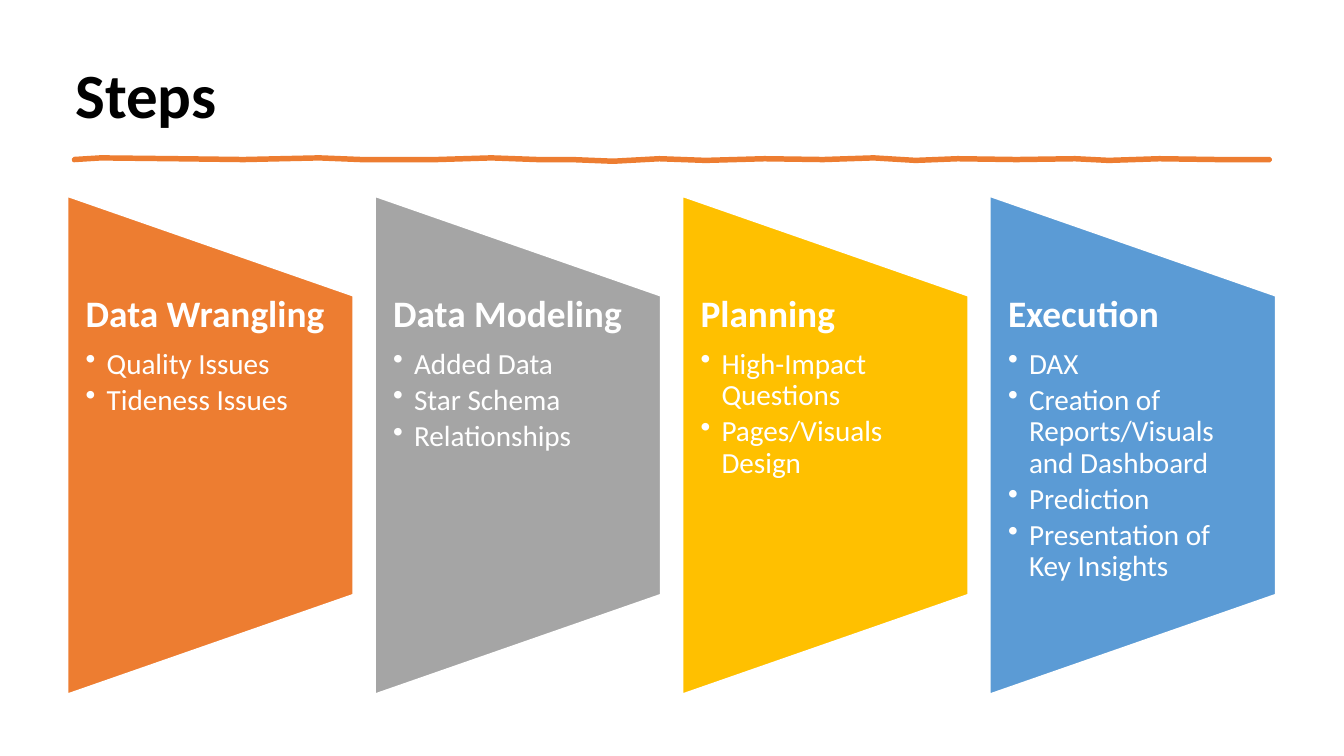
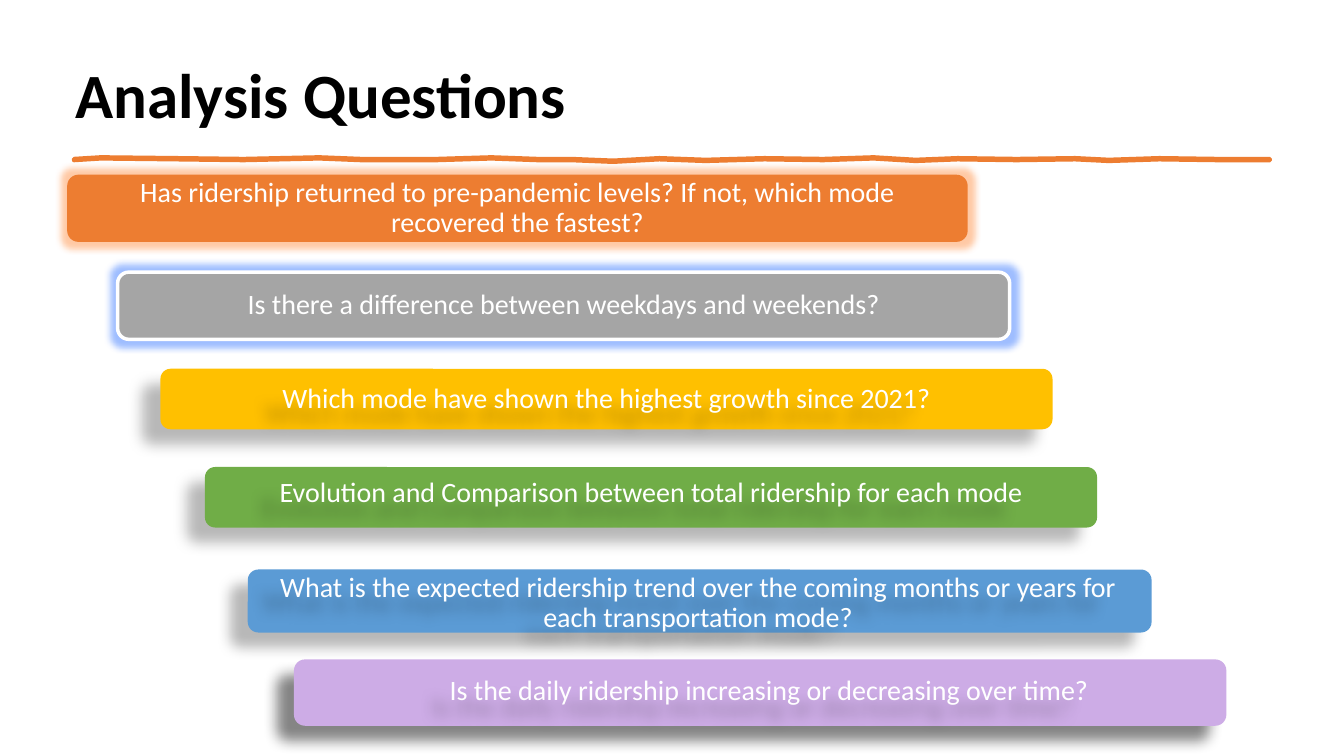
from dataclasses import dataclass

import lxml.etree
import pptx
import pptx.dml.color
import pptx.enum.shapes
import pptx.enum.text
import pptx.oxml.ns
import pptx.util

Inches = pptx.util.Inches
Pt = pptx.util.Pt
Shapes = pptx.enum.shapes.MSO_SHAPE
Anchor = pptx.enum.text.MSO_ANCHOR
Align = pptx.enum.text.PP_ALIGN
qn = pptx.oxml.ns.qn


@dataclass(frozen=True)
class Theme:
    font: str = "Calibri"
    black: str = "000000"
    white: str = "FFFFFF"
    orange: str = "ED7D31"
    gray: str = "A5A5A5"
    gold: str = "FFC000"
    green: str = "70AD47"
    blue: str = "5B9BD5"
    lilac: str = "CDACE6"
    orange_glow: str = "FF7A1F"
    blue_glow: str = "0F5CFF"
    title_size: int = 54
    heading_size: int = 32
    bullet_size: int = 25
    question_size: int = 24


THEME = Theme()

RULE_TOP = [
    (0.88, 1.89), (1.2, 1.87), (2.1, 1.88), (2.9, 1.89), (3.8, 1.87), (4.3, 1.89),
    (5.2, 1.89), (5.85, 1.87), (6.4, 1.89), (6.8, 1.89), (7.3, 1.91), (7.85, 1.88),
    (8.4, 1.9), (9.1, 1.88), (9.8, 1.89), (10.4, 1.87), (10.9, 1.9), (11.4, 1.88),
    (12.1, 1.89), (12.8, 1.88), (13.2, 1.9), (13.8, 1.88), (14.5, 1.89), (15.12, 1.89),
]
RULE_THICKNESS = 0.02

STEPS = [
    ("Data Wrangling", THEME.orange, ["Quality Issues", "Tideness Issues"]),
    ("Data Modeling", THEME.gray, ["Added Data", "Star Schema", "Relationships"]),
    ("Planning", THEME.gold, ["High-Impact Questions", "Pages/Visuals Design"]),
    ("Execution", THEME.blue, [
        "DAX",
        "Creation of Reports/Visuals and Dashboard",
        "Prediction",
        "Presentation of Key Insights",
    ]),
]


def color(value):
    return pptx.dml.color.RGBColor.from_string(value)


def place(box):
    return [Inches(length) for length in box]


def style_text(para, size, value, bold=False):
    for span in para.runs:
        span.font.name = THEME.font
        span.font.size = Pt(size)
        span.font.bold = bold
        span.font.color.rgb = color(value)


def set_margins(frame, side, edge):
    frame.margin_left = frame.margin_right = Inches(side)
    frame.margin_top = frame.margin_bottom = Inches(edge)


def add_panel(page, kind, box, fill=None, line=None, line_width=0):
    panel = page.shapes.add_shape(kind, *place(box))
    panel.shadow.inherit = False
    if fill:
        panel.fill.solid()
        panel.fill.fore_color.rgb = color(fill)
    else:
        panel.fill.background()
    if line:
        panel.line.color.rgb = color(line)
        panel.line.width = Pt(line_width)
    else:
        panel.line.fill.background()
    return panel


def add_effect(panel, tag, value, opacity, **attributes):
    effects = panel._element.spPr.find(qn("a:effectLst"))
    effect = lxml.etree.SubElement(effects, qn(tag))
    for name, amount in attributes.items():
        effect.set(name, str(amount))
    tint = lxml.etree.SubElement(effect, qn("a:srgbClr"), val=value)
    lxml.etree.SubElement(tint, qn("a:alpha"), val=str(opacity * 1000))


def add_glow(panel, value):
    add_effect(panel, "a:glow", value, 40, rad=Pt(11))


def add_shadow(panel, opacity):
    add_effect(panel, "a:outerShdw", THEME.black, opacity, blurRad=Pt(11.8),
               dist=Pt(19.7), dir=141 * 60000, algn="ctr", rotWithShape=0)


def add_rule(page):
    bottom = [(x, y + RULE_THICKNESS) for x, y in reversed(RULE_TOP)]
    outline = [place(point) for point in RULE_TOP + bottom]
    builder = page.shapes.build_freeform(*outline[0], scale=1.0)
    builder.add_line_segments(outline[1:], close=True)
    rule = builder.convert_to_shape()
    rule.shadow.inherit = False
    rule.fill.solid()
    rule.fill.fore_color.rgb = color(THEME.orange)
    rule.line.color.rgb = color(THEME.orange)
    rule.line.width = Pt(3.25)


def add_titled_page(deck, title):
    page = deck.slides.add_slide(deck.slide_layouts[6])
    add_rule(page)
    box = page.shapes.add_textbox(*place((0.8, 0.36, 14.4, 1.5)))
    frame = box.text_frame
    frame.word_wrap = True
    frame.vertical_anchor = Anchor.MIDDLE
    frame.text = title
    style_text(frame.paragraphs[0], THEME.title_size, THEME.black, bold=True)
    return page


def add_bullet(para):
    properties = para._p.get_or_add_pPr()
    properties.set("marL", str(Inches(0.25)))
    properties.set("indent", str(-Inches(0.25)))
    lxml.etree.SubElement(properties, qn("a:buChar"), char="•")


def add_step(page, left, heading, fill, bullets):
    width, height = 3.41, 5.94
    middle = 5.3
    turned = (left + (width - height) / 2, middle - width / 2, height, width)
    panel = add_panel(page, Shapes.FLOWCHART_MANUAL_OPERATION, turned, fill, THEME.white, 2)
    panel.rotation = 270
    box = page.shapes.add_textbox(*place((left, 3.52, width, 3.56)))
    frame = box.text_frame
    frame.word_wrap = True
    set_margins(frame, 0.22, 0)
    frame.text = "\n".join([heading] + bullets)
    for index, para in enumerate(frame.paragraphs):
        if index:
            add_bullet(para)
        para.line_spacing = 0.9
        para.space_after = Pt(4 if index else 11)
        size = THEME.bullet_size if index else THEME.heading_size
        style_text(para, size, THEME.white, bold=index == 0)


def add_caption(page, box, text):
    caption = add_panel(page, Shapes.ROUNDED_RECTANGLE, box)
    frame = caption.text_frame
    frame.word_wrap = True
    frame.vertical_anchor = Anchor.MIDDLE
    set_margins(frame, 0.07, 0.07)
    frame.text = text
    para = frame.paragraphs[0]
    para.alignment = Align.CENTER
    para.line_spacing = 0.9
    style_text(para, THEME.question_size, THEME.white)
    return caption


def add_question(page, text, fill, bar_box, caption_box, glow=None, shadow=0, line=None):
    bar = add_panel(page, Shapes.ROUNDED_RECTANGLE, bar_box, fill, line, 3)
    caption = add_caption(page, caption_box, text)
    if glow:
        add_glow(bar, glow)
    if shadow:
        add_shadow(bar, shadow)
        add_shadow(caption, 28)


def build_steps(deck):
    page = add_titled_page(deck, "Steps")
    for index, (heading, fill, bullets) in enumerate(STEPS):
        add_step(page, 0.8 + 3.66 * index, heading, fill, bullets)


def build_questions(deck):
    page = add_titled_page(deck, "Analysis Questions")
    add_question(
        page,
        "Has ridership returned to pre-pandemic levels? If not, which mode recovered the fastest?",
        THEME.orange, (0.8, 2.08, 10.72, 0.8), (0.89, 2.12, 10.54, 0.72),
        glow=THEME.orange_glow)
    add_question(
        page, "Is there a difference between weekdays and weekends?",
        THEME.gray, (1.4, 3.24, 10.62, 0.8), (1.4, 3.27, 10.62, 0.72),
        glow=THEME.blue_glow, line=THEME.white)
    add_question(
        page, "Which mode have shown the highest growth since 2021?",
        THEME.gold, (1.91, 4.39, 10.62, 0.72), (1.99, 4.43, 10.46, 0.65), shadow=28)
    add_question(
        page, "Evolution and Comparison between total ridership for each mode",
        THEME.green, (2.44, 5.56, 10.62, 0.72), (2.44, 5.56, 10.62, 0.63), shadow=28)
    add_question(
        page,
        "What is the expected ridership trend over the coming months or years "
        "for each transportation mode?",
        THEME.blue, (2.95, 6.78, 10.76, 0.75), (2.93, 6.81, 10.76, 0.75), shadow=28)
    add_question(
        page, "Is the daily ridership increasing or decreasing over time?",
        THEME.lilac, (3.5, 7.85, 11.1, 0.79), (4.15, 7.9, 10.01, 0.67), shadow=48)


def main():
    deck = pptx.Presentation()
    deck.slide_width = Inches(16)
    deck.slide_height = Inches(9)
    build_steps(deck)
    build_questions(deck)
    deck.save("out.pptx")


if __name__ == "__main__":
    main()
